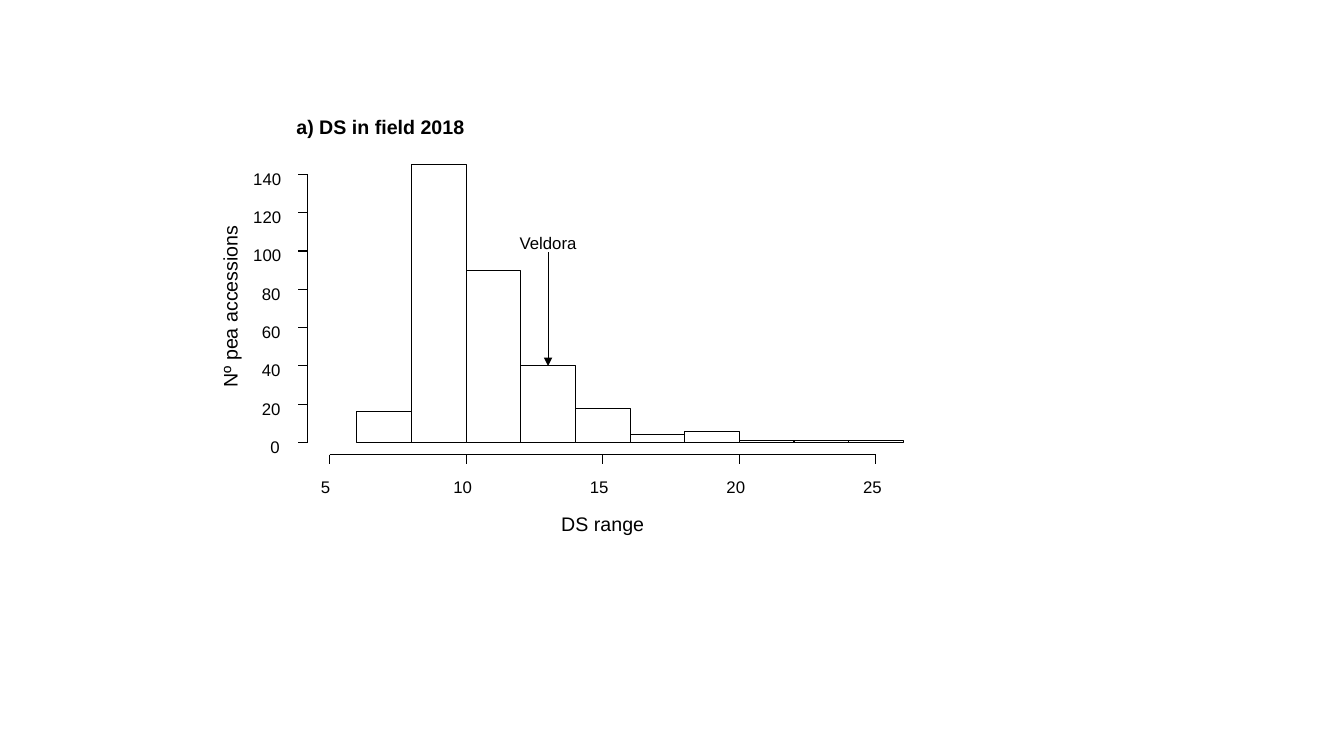
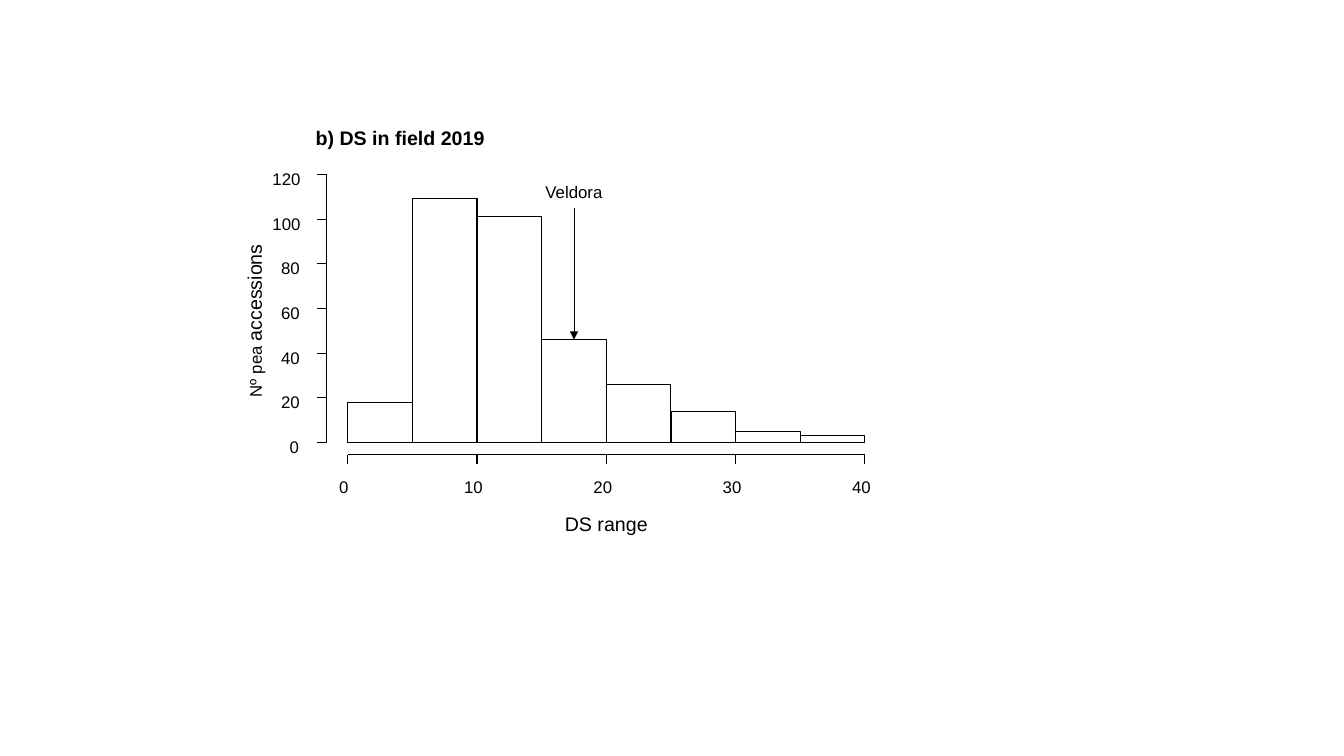
from dataclasses import dataclass

from lxml import etree
from pptx import Presentation
from pptx.dml.color import RGBColor
from pptx.enum.shapes import MSO_CONNECTOR, MSO_SHAPE
from pptx.enum.text import MSO_ANCHOR, MSO_AUTO_SIZE, PP_ALIGN
from pptx.oxml.ns import qn
from pptx.util import Pt

STRAIGHT = MSO_CONNECTOR.STRAIGHT
RECTANGLE = MSO_SHAPE.RECTANGLE
MIDDLE = MSO_ANCHOR.MIDDLE
FIXED = MSO_AUTO_SIZE.NONE
LEFT, CENTER = PP_ALIGN.LEFT, PP_ALIGN.CENTER


@dataclass(frozen=True)
class Theme:
    font: str = "Arial"
    ink: RGBColor = RGBColor(0, 0, 0)
    paper: RGBColor = RGBColor(255, 255, 255)
    heading: int = 14
    label: int = 12
    outline: float = 0.75
    arrow: float = 0.5


THEME = Theme()

BASELINE, SCALE_TOP = 316.1, 124.6
RANGE_AXIS_Y = 324.7
TICK = 6.8
DIGIT_WIDTH, LABEL_HEIGHT = 6.12, 14.6
MARKED_VARIETY = "Veldora"

PANELS = [
    {
        "title": "a) DS in field 2018",
        "title_top": 82.1,
        "count_axis_x": 219.6,
        "count_max": 140,
        "count_caption": [("Nº pea accessions", THEME.heading)],
        "caption_center": (164.2, 218.9),
        "range_ticks": range(5, 26, 5),
        "range_span": (235.4, 625.7),
        "first_bin": 6,
        "bin_width": 2,
        "counts": [16, 145, 90, 40, 18, 4, 6, 1, 1, 1],
        "marked_bin": 3,
        "arrow_top": 180,
        "marker_top": 162.7,
    },
    {
        "title": "b) DS in field 2019",
        "title_top": 90,
        "count_axis_x": 233.3,
        "count_max": 120,
        "count_caption": [("Nº pea ", THEME.label), ("accessions", THEME.heading)],
        "caption_center": (181.4, 229),
        "range_ticks": range(0, 41, 10),
        "range_span": (248.4, 617.8),
        "first_bin": 0,
        "bin_width": 5,
        "counts": [18, 109, 101, 46, 26, 14, 5, 3],
        "marked_bin": 3,
        "arrow_top": 148.3,
        "marker_top": 126,
    },
]


def write(holder, pieces, align=LEFT, bold=False):
    frame = holder.text_frame
    frame.word_wrap = True
    frame.auto_size = FIXED
    frame.vertical_anchor = MIDDLE
    frame.margin_left = frame.margin_right = 0
    frame.margin_top = frame.margin_bottom = 0
    paragraph = frame.paragraphs[0]
    paragraph.alignment = align
    for text, size in pieces:
        run = paragraph.add_run()
        run.text = text
        run.font.name = THEME.font
        run.font.size = Pt(size)
        run.font.bold = bold
        run.font.color.rgb = THEME.ink


def draw_line(shapes, x1, y1, x2, y2, weight=THEME.outline):
    line = shapes.add_connector(STRAIGHT, Pt(x1), Pt(y1), Pt(x2), Pt(y2))
    line.line.color.rgb = THEME.ink
    line.line.width = Pt(weight)
    etree.SubElement(line._element.spPr, qn("a:effectLst"))
    return line


deck = Presentation()
deck.slide_width, deck.slide_height = Pt(960), Pt(540)

for panel in PANELS:
    slide = deck.slides.add_slide(deck.slide_layouts[5])
    shapes = slide.shapes
    axis_x = panel["count_axis_x"]
    ticks = panel["range_ticks"]
    axis_left, axis_right = panel["range_span"]
    axis_middle = (axis_left + axis_right) / 2
    per_range = (axis_right - axis_left) / (ticks[-1] - ticks[0])
    per_count = (BASELINE - SCALE_TOP) / panel["count_max"]

    title = shapes.title
    title.left, title.top = Pt(axis_x - 7.9), Pt(panel["title_top"])
    title.width, title.height = Pt(140), Pt(17.3)
    write(title, [(panel["title"], THEME.heading)], bold=True)

    range_caption = shapes.add_textbox(Pt(axis_middle - 32), Pt(365.2), Pt(64), Pt(17.3))
    write(range_caption, [("DS range", THEME.heading)], CENTER)

    center_x, center_y = panel["caption_center"]
    count_caption = shapes.add_textbox(Pt(center_x - 63), Pt(center_y - 8.6), Pt(126), Pt(17.3))
    count_caption.rotation = 270
    write(count_caption, panel["count_caption"], CENTER)

    tick_labels = []
    draw_line(shapes, axis_left, RANGE_AXIS_Y, axis_right, RANGE_AXIS_Y)
    for value in ticks:
        x = axis_left + (value - ticks[0]) * per_range
        draw_line(shapes, x, RANGE_AXIS_Y, x, RANGE_AXIS_Y + TICK)
        width = DIGIT_WIDTH * (len(str(value)) + 1)
        tick_labels.append((value, x - width / 2, 340.6, width))

    draw_line(shapes, axis_x, BASELINE, axis_x, SCALE_TOP)
    for value in range(0, panel["count_max"] + 1, 20):
        y = BASELINE - value * per_count
        draw_line(shapes, axis_x, y, axis_x - TICK, y)
        width = DIGIT_WIDTH * (len(str(value)) + 1)
        tick_labels.append((value, axis_x - 14.2 - width, y - 4.3, width))

    for value, left, top, width in tick_labels:
        tick_label = shapes.add_textbox(Pt(left), Pt(top), Pt(width), Pt(LABEL_HEIGHT))
        write(tick_label, [(str(value), THEME.label)])

    bar_width = panel["bin_width"] * per_range
    bars_left = axis_left + (panel["first_bin"] - ticks[0]) * per_range
    for position, count in enumerate(panel["counts"]):
        height = count * per_count
        bar = shapes.add_shape(
            RECTANGLE, Pt(bars_left + position * bar_width), Pt(BASELINE - height),
            Pt(bar_width), Pt(height))
        bar.shadow.inherit = False
        bar.fill.solid()
        bar.fill.fore_color.rgb = THEME.paper
        bar.line.color.rgb = THEME.ink
        bar.line.width = Pt(THEME.outline)

    marked = panel["marked_bin"]
    marker_x = bars_left + (marked + 0.5) * bar_width
    marked_top = BASELINE - panel["counts"][marked] * per_count
    arrow = draw_line(shapes, marker_x, panel["arrow_top"], marker_x, marked_top, THEME.arrow)
    etree.SubElement(arrow.line._get_or_add_ln(), qn("a:tailEnd"), type="triangle")
    marker = shapes.add_textbox(Pt(marker_x - 28.4), Pt(panel["marker_top"]), Pt(56.8), Pt(21.6))
    write(marker, [(MARKED_VARIETY, THEME.label)], CENTER)

deck.save("out.pptx")
